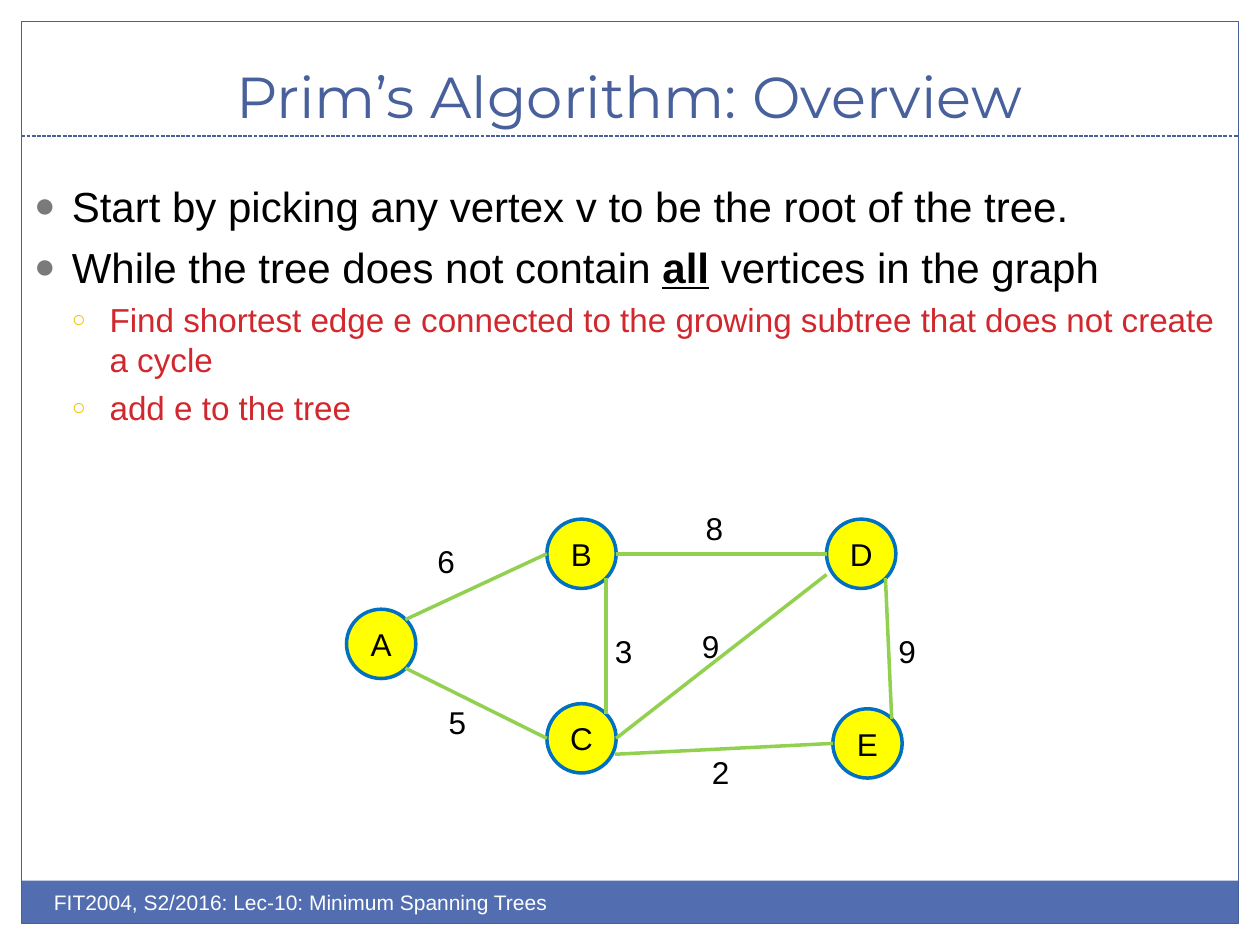
"""Build the Prim's algorithm overview slide on a grid of 100 columns by 75 rows."""
from dataclasses import dataclass
from typing import NamedTuple

from lxml.etree import SubElement
from pptx import Presentation
from pptx.dml.color import RGBColor
from pptx.enum.dml import MSO_LINE
from pptx.enum.shapes import MSO_CONNECTOR as LINK, MSO_SHAPE as SHAPE
from pptx.enum.text import MSO_ANCHOR as ANCHOR, MSO_AUTO_SIZE as FIT, PP_ALIGN as ALIGN
from pptx.oxml.ns import qn
from pptx.util import Inches, Pt

COLORS = {
    "frame": "48609B", "band": "526DB0", "white": "FFFFFF", "ink": "000000",
    "step": "D1282E", "dot": "7A7A7A", "ring": "F5C201",
    "node": "FFFF00", "outline": "0070C0", "edge": "92D050",
}
COLUMNS, ROWS = 100, 75
CELL = Inches(0.1)
DIAMETER = 5.5
PORTS = {
    "left": (-0.5, 0), "right": (0.5, 0), "upper right": (0.35, -0.35),
    "lower right": (0.35, 0.35), "lower side": (0.48, 0.23), "outer left": (-0.5, 0.3),
}


class Node(NamedTuple):
    column: float
    row: float


class Edge(NamedTuple):
    start: str
    start_port: str
    end: str
    end_port: str
    weight: str
    weight_column: float
    weight_row: float


@dataclass
class Level:
    size: float
    color: str
    bullet: str
    bullet_color: str
    bullet_percent: int
    gap: float


@dataclass
class Item:
    level: int
    pieces: list[str]
    stressed: str = ""


NODES = {
    "A": Node(30.25, 51.1), "B": Node(46.15, 43.95), "C": Node(46.15, 58.6),
    "D": Node(68.35, 43.95), "E": Node(68.85, 59),
}
EDGES = [
    Edge("A", "upper right", "B", "left", "6", 35.4, 44.5),
    Edge("A", "lower right", "C", "left", "5", 36.3, 57.3),
    Edge("B", "right", "D", "left", "8", 56.7, 41.9),
    Edge("E", "upper right", "D", "lower right", "9", 72, 51.7),
    Edge("C", "right", "D", "outer left", "9", 56.4, 51.3),
    Edge("C", "upper right", "B", "lower right", "3", 49.5, 51.7),
    Edge("C", "lower side", "E", "left", "2", 57.2, 61.3),
]
LEVELS = [
    Level(24, "ink", "●", "dot", 85, 6),
    Level(19, "step", "○", "ring", 70, 4.5),
]
ITEMS = [
    Item(0, ["Start by picking any vertex v to be the root of the tree."]),
    Item(0, ["While the tree does not contain ", "all", " vertices in the graph"], "all"),
    Item(1, ["Find shortest edge e connected to the growing subtree that does not create a cycle"]),
    Item(1, ["add e to the tree"]),
]


def cells(*counts: float) -> list[int]:
    return [round(count * CELL) for count in counts]


def color(name: str) -> RGBColor:
    return RGBColor.from_string(COLORS[name])


def set_font(paragraph, size: float, ink: str, face: str = "Arial") -> None:
    font = paragraph.font
    font.size, font.name = Pt(size), face
    font.color.rgb = color(ink)


def place(placeholder, left: float, top: float, width: float, height: float) -> None:
    placeholder.left, placeholder.top, placeholder.width, placeholder.height = cells(
        left, top, width, height)
    placeholder.text_frame.auto_size = FIT.NONE


def add_outline(slide, kind, box, fill: str = "", line: str = "", weight: float = 0.75):
    shape = slide.shapes.add_shape(kind, *cells(*box))
    shape.shadow.inherit = False
    if fill:
        shape.fill.solid()
        shape.fill.fore_color.rgb = color(fill)
    else:
        shape.fill.background()
    if line:
        shape.line.color.rgb = color(line)
        shape.line.width = Pt(weight)
    else:
        shape.line.fill.background()
    return shape


def add_line(slide, ends, ink: str, weight: float):
    line = slide.shapes.add_connector(LINK.STRAIGHT, *cells(*ends))
    line.line.color.rgb = color(ink)
    line.line.width = Pt(weight)
    SubElement(line._element.spPr, qn("a:effectLst"))
    return line


def add_label(slide, text: str, box, size: float, ink: str, wrap: bool = False):
    label = slide.shapes.add_textbox(*cells(*box))
    label.text_frame.word_wrap = wrap
    paragraph = label.text_frame.paragraphs[0]
    paragraph.text = text
    set_font(paragraph, size, ink)
    return paragraph


def add_bullet(paragraph, level: Level, depth: int) -> None:
    properties = paragraph._p.get_or_add_pPr()
    properties.set("marL", str(Inches(0.3 * (depth + 1))))
    properties.set("indent", str(Inches(-0.3)))
    tint = SubElement(properties, qn("a:buClr"))
    SubElement(tint, qn("a:srgbClr"), val=COLORS[level.bullet_color])
    SubElement(properties, qn("a:buSzPct"), val=str(level.bullet_percent * 1000))
    SubElement(properties, qn("a:buFont"), typeface="Arial")
    SubElement(properties, qn("a:buChar"), char=level.bullet)


def fill_list(frame, items: list[Item]) -> None:
    frame.margin_top = Inches(0.1)
    for index, item in enumerate(items):
        level = LEVELS[item.level]
        paragraph = frame.add_paragraph() if index else frame.paragraphs[0]
        paragraph.level = item.level
        add_bullet(paragraph, level, item.level)
        paragraph.space_before = Pt(level.gap if index else 0)
        set_font(paragraph, level.size, level.color)
        for piece in item.pieces:
            run = paragraph.add_run()
            run.text = piece
            if piece == item.stressed:
                run.font.bold = run.font.underline = True


def add_node(slide, name: str, node: Node) -> None:
    corner = (node.column - DIAMETER / 2, node.row - DIAMETER / 2)
    circle = add_outline(slide, SHAPE.OVAL, (*corner, DIAMETER, DIAMETER), "node", "outline", 2)
    frame = circle.text_frame
    frame.word_wrap = False
    frame.vertical_anchor = ANCHOR.MIDDLE
    letter = frame.paragraphs[0]
    letter.text = name
    letter.alignment = ALIGN.CENTER
    set_font(letter, 18, "ink")


def port_at(name: str, port: str) -> tuple[float, float]:
    across, down = PORTS[port]
    return NODES[name].column + across * DIAMETER, NODES[name].row + down * DIAMETER


def add_edge(slide, edge: Edge) -> None:
    ends = (*port_at(edge.start, edge.start_port), *port_at(edge.end, edge.end_port))
    add_line(slide, ends, "edge", 2)
    box = (edge.weight_column - 1.7, edge.weight_row - 2, 3.4, 4)
    add_label(slide, edge.weight, box, 18, "ink").alignment = ALIGN.CENTER


def main() -> None:
    deck = Presentation()
    deck.slide_width, deck.slide_height = cells(COLUMNS, ROWS)
    slide = deck.slides.add_slide(deck.slide_layouts[1])
    heading, steps = slide.placeholders
    margin = 1.7
    inner = COLUMNS - 2 * margin

    add_outline(slide, SHAPE.RECTANGLE, (margin, 69.9, inner, 3.4), "band")
    add_outline(slide, SHAPE.RECTANGLE, (margin, margin, inner, ROWS - 2 * margin), line="frame")
    rule = add_line(slide, (margin, 10.8, COLUMNS - margin, 10.8), "frame", 0.75)
    rule.line.dash_style = MSO_LINE.SQUARE_DOT
    add_label(slide, "FIT2004, S2/2016: Lec-10: Minimum Spanning Trees",
              (3.3, 70.1, 50, 4), 12, "white", wrap=True)

    place(heading, 3.3, 2.5, 93.3, 8.3)
    heading.text_frame.vertical_anchor = ANCHOR.BOTTOM
    title = heading.text_frame.paragraphs[0]
    title.text = "Prim’s Algorithm: Overview"
    title.alignment = ALIGN.CENTER
    set_font(title, 33, "frame", "Montserrat")
    place(steps, margin, 13.3, 96.7, 50)
    fill_list(steps.text_frame, ITEMS)

    for name, node in NODES.items():
        add_node(slide, name, node)
    for edge in EDGES:
        add_edge(slide, edge)
    deck.save("out.pptx")


if __name__ == "__main__":
    main()
